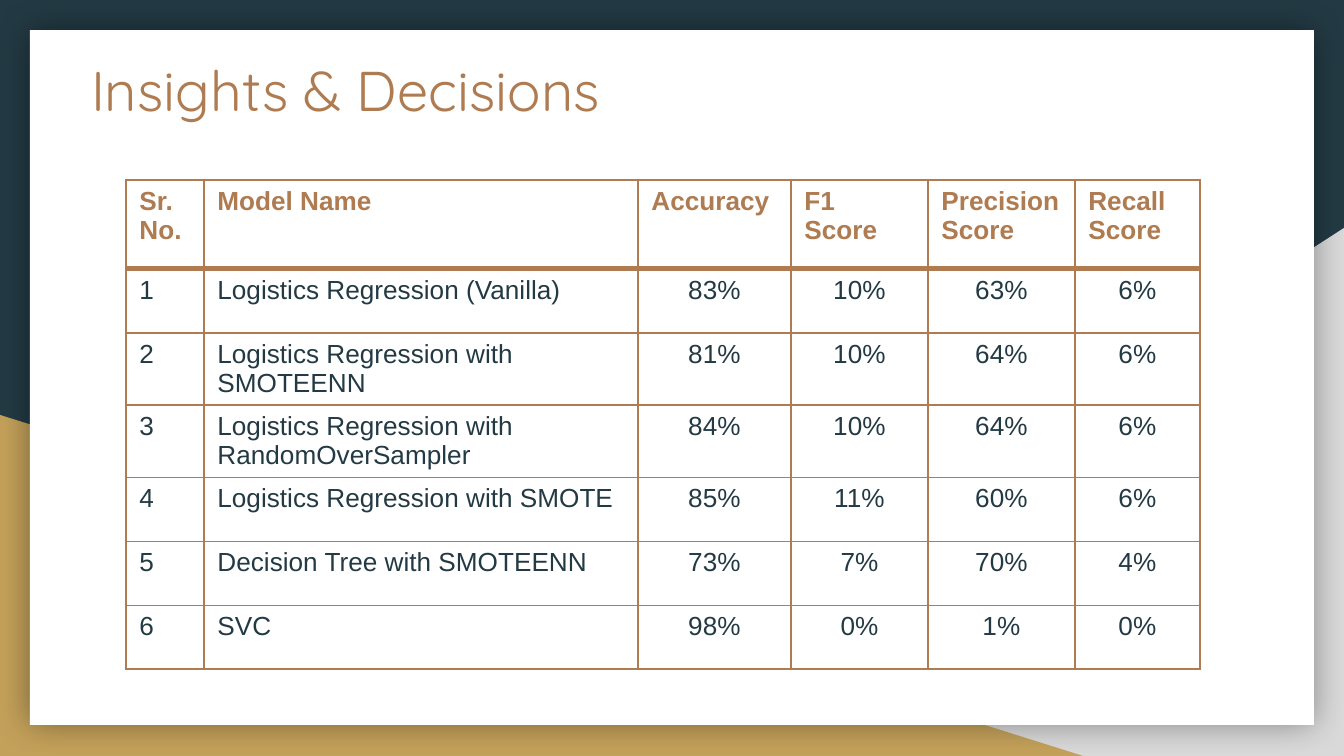
from lxml.etree import SubElement
from pptx import Presentation
from pptx.dml.color import RGBColor
from pptx.enum.shapes import MSO_SHAPE
from pptx.enum.text import MSO_ANCHOR, PP_ALIGN
from pptx.oxml.ns import qn
from pptx.util import Pt

NAVY = RGBColor(0x23, 0x3A, 0x44)
GREY = RGBColor(0xD9, 0xD9, 0xD9)
GOLD = RGBColor(0xC4, 0xA1, 0x5A)
WHITE = RGBColor(0xFF, 0xFF, 0xFF)
COPPER = RGBColor(0xAF, 0x7B, 0x51)
BLACK = RGBColor(0, 0, 0)

TITLE = "Insights & Decisions"
HEADINGS = ["Sr. No.", "Model Name", "Accuracy", "F1 Score", "Precision Score", "Recall Score"]
MODELS = [
    ("Logistics Regression (Vanilla)", 83, 10, 63, 6),
    ("Logistics Regression with SMOTEENN", 81, 10, 64, 6),
    ("Logistics Regression with RandomOverSampler", 84, 10, 64, 6),
    ("Logistics Regression with SMOTE", 85, 11, 60, 6),
    ("Decision Tree with SMOTEENN", 73, 7, 70, 4),
    ("SVC", 98, 0, 1, 0),
]

SLIDE_SIZE = (1344, 756)
GREY_CORNER = (527, 228, 817, 528)
GOLD_CORNER = (0, 415, 1083, 341)
CARD = (30, 30, 1284, 695)
TITLE_BOX = (78, 42, 1103, 140)
TABLE_ORIGIN = (126, 180)
COLUMN_WIDTHS = [78, 434, 153, 137, 147, 125]
HEADING_HEIGHT, MODEL_HEIGHT = 89, 64
INSET = 13


def px(length):
    return round(length * 914400 / 134.4)


def write(frame, text, *, size, font, color, bold=False, align=PP_ALIGN.LEFT):
    paragraph = frame.paragraphs[0]
    paragraph.alignment = align
    run = paragraph.add_run()
    run.text = text
    run.font.size = Pt(size)
    run.font.name = font
    run.font.bold = bold
    run.font.color.rgb = color


def add_block(slide, preset, box, color):
    block = slide.shapes.add_shape(preset, *map(px, box))
    block.shadow.inherit = False
    block.fill.solid()
    block.fill.fore_color.rgb = color
    block.line.fill.background()
    return block


def add_glow_shadow(block, *, color, alpha, blur):
    effects = block._element.spPr.find(qn("a:effectLst"))
    shadow = SubElement(effects, qn("a:outerShdw"), blurRad=str(Pt(blur)), dist="0",
                        dir="0", algn="ctr", rotWithShape="0")
    tint = SubElement(shadow, qn("a:srgbClr"), val=str(color))
    SubElement(tint, qn("a:alpha"), val=str(alpha * 1000))


def set_borders(cell, **widths):
    properties = cell._tc.get_or_add_tcPr()
    for position, (side, width) in enumerate(widths.items()):
        border = properties.makeelement(qn(f"a:ln{side}"), {"w": str(Pt(width))})
        properties.insert(position, border)
        SubElement(SubElement(border, qn("a:solidFill")), qn("a:srgbClr"), val=str(COPPER))


def add_title(slide):
    title = slide.shapes.title
    slide.shapes._spTree.append(title._element)
    title.left, title.top, title.width, title.height = map(px, TITLE_BOX)
    frame = title.text_frame
    frame.word_wrap = True
    frame.vertical_anchor = MSO_ANCHOR.TOP
    frame.margin_left = frame.margin_right = px(INSET)
    frame.margin_top = frame.margin_bottom = px(INSET)
    write(frame, TITLE, size=30, font="Quicksand", color=COPPER)


def add_scores(slide):
    rows = [HEADINGS]
    for number, (model, *scores) in enumerate(MODELS, 1):
        rows.append([str(number), model] + [f"{score}%" for score in scores])
    heights = [HEADING_HEIGHT] + [MODEL_HEIGHT] * len(MODELS)
    size = (sum(COLUMN_WIDTHS), sum(heights))
    scores = slide.shapes.add_table(len(rows), len(HEADINGS),
                                    *map(px, TABLE_ORIGIN + size)).table
    scores.first_row = scores.horz_banding = False
    for column, width in zip(scores.columns, COLUMN_WIDTHS):
        column.width = px(width)
    for row, height in zip(scores.rows, heights):
        row.height = px(height)
    for r, row in enumerate(rows):
        heading = r == 0
        for c, text in enumerate(row):
            cell = scores.cell(r, c)
            cell.fill.solid()
            cell.fill.fore_color.rgb = WHITE
            centred = not heading and c > 1
            write(cell.text_frame, text, size=14, font="Arial", bold=heading,
                  color=COPPER if heading else NAVY,
                  align=PP_ALIGN.CENTER if centred else PP_ALIGN.LEFT)
            set_borders(cell, L=1, R=1, T=3 if r == 1 else 1, B=3 if heading else 1)


def main():
    deck = Presentation()
    deck.slide_width, deck.slide_height = map(px, SLIDE_SIZE)
    slide = deck.slides.add_slide(deck.slide_layouts[5])
    slide.background.fill.solid()
    slide.background.fill.fore_color.rgb = NAVY

    grey_corner = add_block(slide, MSO_SHAPE.RIGHT_TRIANGLE, GREY_CORNER, GREY)
    grey_corner._element.spPr.xfrm.set("flipH", "1")
    add_block(slide, MSO_SHAPE.RIGHT_TRIANGLE, GOLD_CORNER, GOLD)
    card = add_block(slide, MSO_SHAPE.RECTANGLE, CARD, WHITE)
    add_glow_shadow(card, color=BLACK, alpha=40, blur=18)
    add_title(slide)
    add_scores(slide)
    deck.save("out.pptx")


if __name__ == "__main__":
    main()
